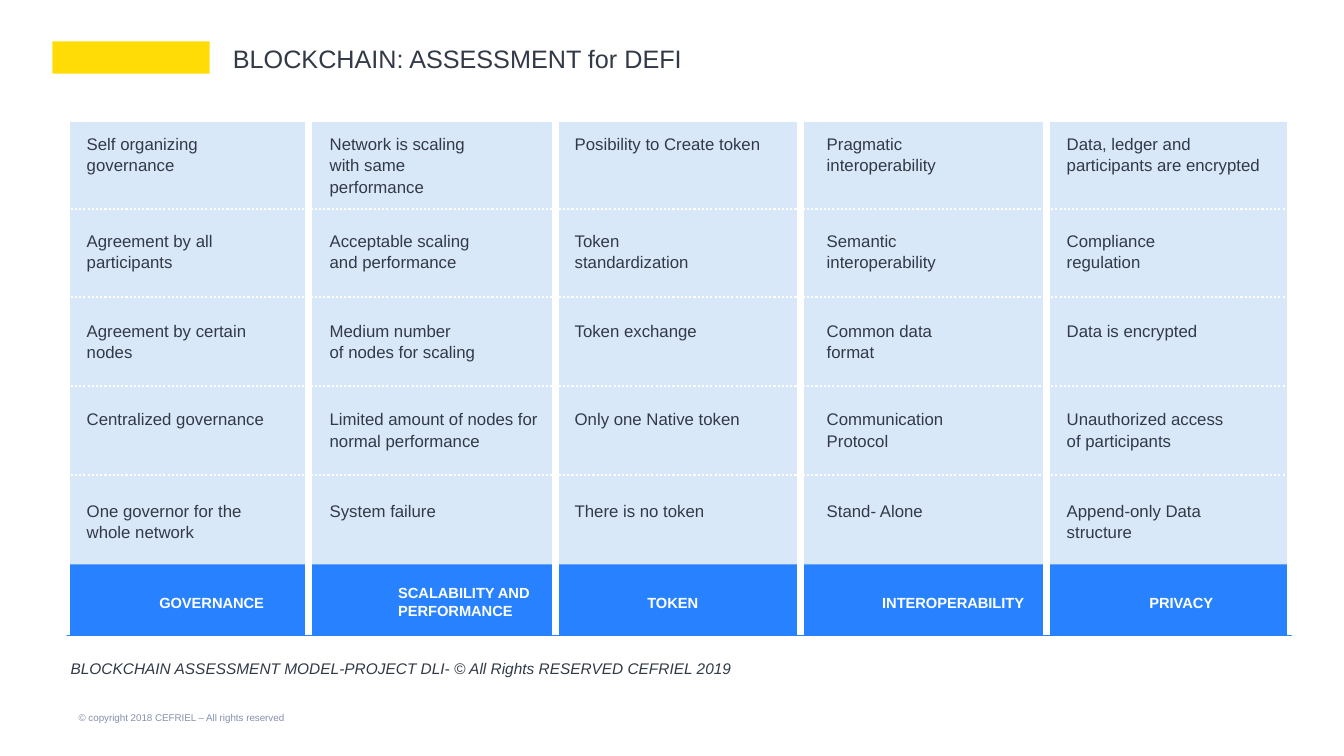
"""Build the blockchain assessment slide: five criteria columns with five maturity levels each."""
from collections import namedtuple
from dataclasses import dataclass

from lxml import etree
from pptx import Presentation
from pptx.dml.color import RGBColor
from pptx.enum.dml import MSO_LINE
from pptx.enum.shapes import MSO_CONNECTOR, MSO_SHAPE
from pptx.enum.text import MSO_ANCHOR, PP_ALIGN
from pptx.oxml.ns import qn
from pptx.util import Emu, Pt

PX = 9144


@dataclass(frozen=True)
class Theme:
    font: str = "Arial"
    ink: str = "323947"
    white: str = "FFFFFF"
    yellow: str = "FFDC06"
    pale_blue: str = "B4D2F3"
    blue: str = "2882FF"
    copyright: str = "8590AD"
    title_size: float = 18
    level_size: float = 12
    note_size: float = 11
    heading_size: float = 10.5
    copyright_size: float = 7


theme = Theme()
Column = namedtuple("Column", "heading heading_box levels left width")

columns = [
    Column("GOVERNANCE", (154, 584, 163, 22),
           ["Self organizing\ngovernance", "Agreement by all\nparticipants",
            "Agreement by certain nodes", "Centralized governance",
            "One governor for the whole network"], 82, 179),
    Column("SCALABILITY AND\nPERFORMANCE", (391, 574, 163, 22),
           ["Network is scaling\nwith same\nperformance", "Acceptable scaling\nand performance",
            "Medium number\nof nodes for scaling",
            "Limited amount of nodes for normal performance", "System failure"], 323, 206),
    Column("TOKEN", (638, 584, 163, 22),
           ["Posibility to Create token", "Token\nstandardization", "Token exchange",
            "Only one Native token", "There is no token"], 566, 206),
    Column("INTEROPERABILITY", (871, 584, 153, 22),
           ["Pragmatic\ninteroperability", "Semantic\ninteroperability", "Common data\nformat",
            "Communication\nProtocol", "Stand- Alone"], 816, 183),
    Column("PRIVACY", (1136, 584, 153, 22),
           ["Data, ledger and\nparticipants are encrypted", "Compliance\nregulation",
            "Data is encrypted", "Unauthorized access\nof participants",
            "Append-only Data structure"], 1054, 194),
]
level_tops = [128, 224, 313, 401, 492]
wide_levels = {"Centralized governance": 219,
               "Limited amount of nodes for normal performance": 223,
               "Data, ledger and\nparticipants are encrypted": 217}
column_edges = [66, 306, 551, 794, 1038, 1280]
row_edges = [119 + 88 * row for row in range(5)]

presentation = Presentation()
presentation.slide_width, presentation.slide_height = Emu(1333 * PX), Emu(750 * PX)
slide = presentation.slides.add_slide(presentation.slide_layouts[5])


def add_text(text, box, size, color, anchor=MSO_ANCHOR.TOP, inset=4, spacing=1.05,
             bold=False, italic=False):
    """Add a wrapped text box with one format for all its paragraphs."""
    frame = slide.shapes.add_textbox(*[Emu(length * PX) for length in box]).text_frame
    frame.word_wrap = True
    frame.vertical_anchor = anchor
    frame.margin_left = frame.margin_top = Emu(inset * PX)
    frame.margin_right = frame.margin_bottom = Emu(inset * PX)
    frame.text = text
    for paragraph in frame.paragraphs:
        paragraph.line_spacing = spacing
        paragraph.font.name = theme.font
        paragraph.font.size = Pt(size)
        paragraph.font.bold = bold
        paragraph.font.italic = italic
        paragraph.font.color.rgb = RGBColor.from_string(color)


def add_rule(group, start_x, start_y, end_x, end_y, weight):
    """Add a white straight line to a group and return it."""
    rule = group.shapes.add_connector(
        MSO_CONNECTOR.STRAIGHT,
        *[Emu(length * PX) for length in (start_x, start_y, end_x, end_y)])
    rule.line.color.rgb = RGBColor.from_string(theme.white)
    rule.line.width = Pt(weight)
    etree.SubElement(rule.element.spPr, qn("a:effectLst"))
    return rule


panels = [((52, 41, 156, 32), theme.yellow, 100),
          ((66, 121, 1214, 442), theme.pale_blue, 50),
          ((66, 560, 1215, 71), theme.blue, 100)]
for box, color, opacity in panels:
    shape = slide.shapes.add_shape(MSO_SHAPE.RECTANGLE, *[Emu(length * PX) for length in box])
    shape.shadow.inherit = False
    shape.line.fill.background()
    shape.fill.solid()
    shape.fill.fore_color.rgb = RGBColor.from_string(color)
    if opacity < 100:
        fill_color = shape.element.spPr.find(qn("a:solidFill"))[0]
        etree.SubElement(fill_color, qn("a:alpha"), val=str(opacity * 1000))

title = slide.shapes.title
title.left, title.top = Emu(221 * PX), Emu(37 * PX)
title.width, title.height = Emu(1060 * PX), Emu(46 * PX)
title.text_frame.text = "BLOCKCHAIN: ASSESSMENT for DEFI"
title.text_frame.vertical_anchor = MSO_ANCHOR.MIDDLE
paragraph = title.text_frame.paragraphs[0]
paragraph.alignment = PP_ALIGN.LEFT
paragraph.line_spacing = 0.9
paragraph.font.name = theme.font
paragraph.font.size = Pt(theme.title_size)
paragraph.font.color.rgb = RGBColor.from_string(theme.ink)

for column in columns:
    add_text(column.heading, column.heading_box, theme.heading_size, theme.white, bold=True)
    for level, top in zip(column.levels, level_tops):
        width = wide_levels.get(level, column.width)
        add_text(level, (column.left, top, width, 63), theme.level_size, theme.ink)

add_text("BLOCKCHAIN ASSESSMENT MODEL-PROJECT DLI- © All Rights RESERVED CEFRIEL 2019",
         (66, 642, 1159, 42), theme.note_size, theme.ink, MSO_ANCHOR.MIDDLE, italic=True)
add_text("© copyright 2018 CEFRIEL – All rights reserved",
         (76, 706, 283, 14), theme.copyright_size, theme.copyright, MSO_ANCHOR.BOTTOM,
         inset=2, spacing=1.0)

column_rules = slide.shapes.add_group_shape()
for edge in column_edges:
    add_rule(column_rules, edge, 630, edge, 120, 4.5)

row_rules = slide.shapes.add_group_shape()
for edge in row_edges:
    rule = add_rule(row_rules, column_edges[0], edge, column_edges[-1], edge, 1.5)
    rule.line.dash_style = MSO_LINE.ROUND_DOT

presentation.save("out.pptx")
